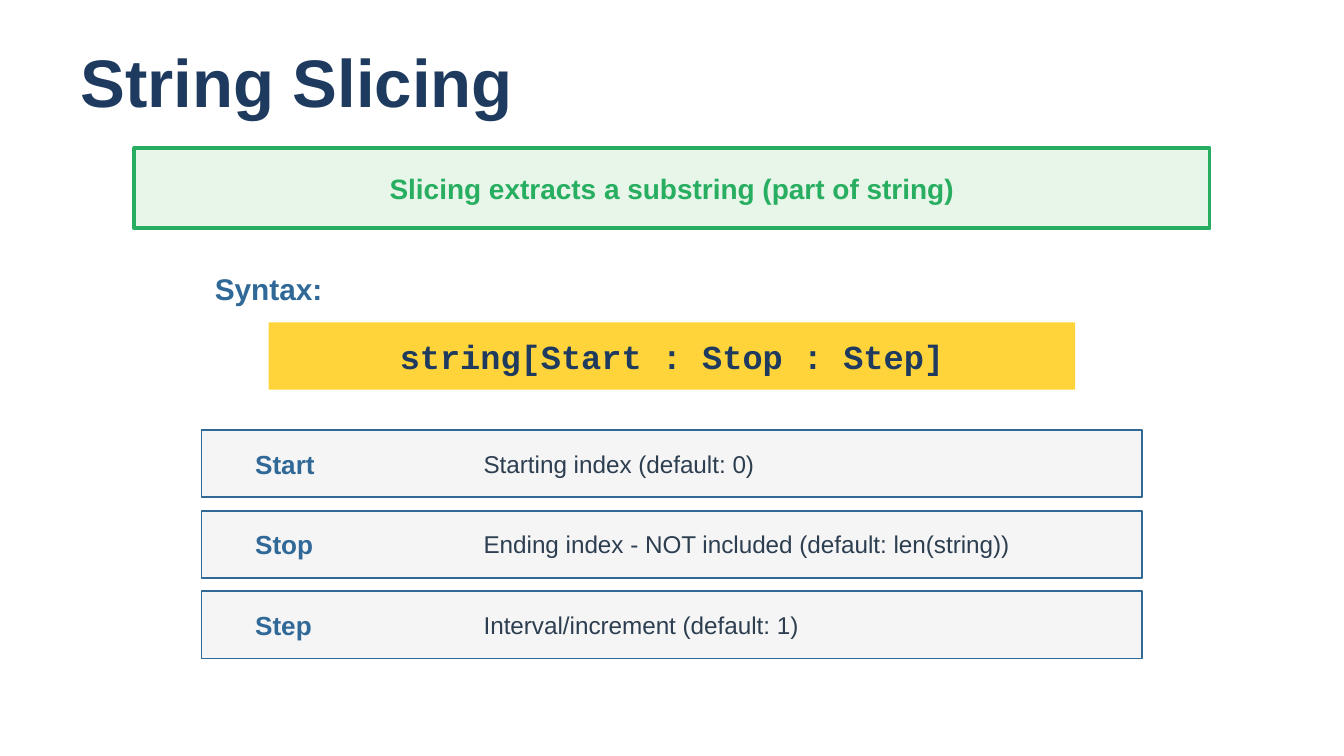
"""Build the String Slicing slide: definition, syntax and parameter rows."""
from pptx import Presentation
from pptx.dml.color import RGBColor
from pptx.enum.shapes import MSO_SHAPE
from pptx.enum.text import MSO_ANCHOR, PP_ALIGN
from pptx.util import Inches, Pt

COLORS = {
    "navy": "1E3A5F",
    "blue": "306998",
    "green": "27AE60",
    "mint": "E8F5E9",
    "yellow": "FFD43B",
    "gray": "F5F5F5",
    "ink": "2C3E50",
}

PARAMETERS = [
    ("Start", "Starting index (default: 0)"),
    ("Stop", "Ending index - NOT included (default: len(string))"),
    ("Step", "Interval/increment (default: 1)"),
]
ROW_TOP, ROW_PITCH = 3.2, 0.6


def rgb(name):
    return RGBColor.from_string(COLORS[name])


def add_box(s, left, top, width, height, fill, line=None, weight=1):
    sp = s.shapes.add_shape(MSO_SHAPE.RECTANGLE, Inches(left), Inches(top),
                            Inches(width), Inches(height))
    sp.shadow.inherit = False
    sp.fill.solid()
    sp.fill.fore_color.rgb = rgb(fill)
    if line:
        sp.line.color.rgb = rgb(line)
        sp.line.width = Pt(weight)
    else:
        sp.line.fill.background()


def add_text(s, left, top, width, height, text, size, color,
             bold=True, align=PP_ALIGN.LEFT, font="Arial"):
    tf = s.shapes.add_textbox(Inches(left), Inches(top),
                              Inches(width), Inches(height)).text_frame
    tf.word_wrap = True
    tf.vertical_anchor = MSO_ANCHOR.MIDDLE
    p = tf.paragraphs[0]
    p.text = text
    p.alignment = align
    p.font.name = font
    p.font.size = Pt(size)
    p.font.bold = bold
    p.font.color.rgb = rgb(color)


def add_parameter(s, top, name, meaning):
    add_box(s, 1.5, top, 7, 0.5, "gray", "blue")
    add_text(s, 1.8, top + 0.1, 1.5, 0.3, name, 14, "blue")
    add_text(s, 3.5, top + 0.1, 4.8, 0.3, meaning, 13, "ink", bold=False)


def main():
    prs = Presentation()
    prs.slide_width = Inches(10)
    prs.slide_height = Inches(10 * 9 / 16)
    s = prs.slides.add_slide(prs.slide_layouts[6])

    add_text(s, 0.5, 0.3, 9, 0.6, "String Slicing", 36, "navy")
    add_box(s, 1, 1.1, 8, 0.6, "mint", "green", 2)
    add_text(s, 1, 1.2, 8, 0.4, "Slicing extracts a substring (part of string)",
             15, "green", align=PP_ALIGN.CENTER)

    add_text(s, 1.5, 2, 7, 0.3, "Syntax:", 16, "blue")
    add_box(s, 2, 2.4, 6, 0.5, "yellow")
    add_text(s, 2, 2.45, 6, 0.4, "string[Start : Stop : Step]", 18, "navy",
             align=PP_ALIGN.CENTER, font="Courier New")

    for i, (name, meaning) in enumerate(PARAMETERS):
        add_parameter(s, ROW_TOP + i * ROW_PITCH, name, meaning)

    prs.save("out.pptx")


if __name__ == "__main__":
    main()
